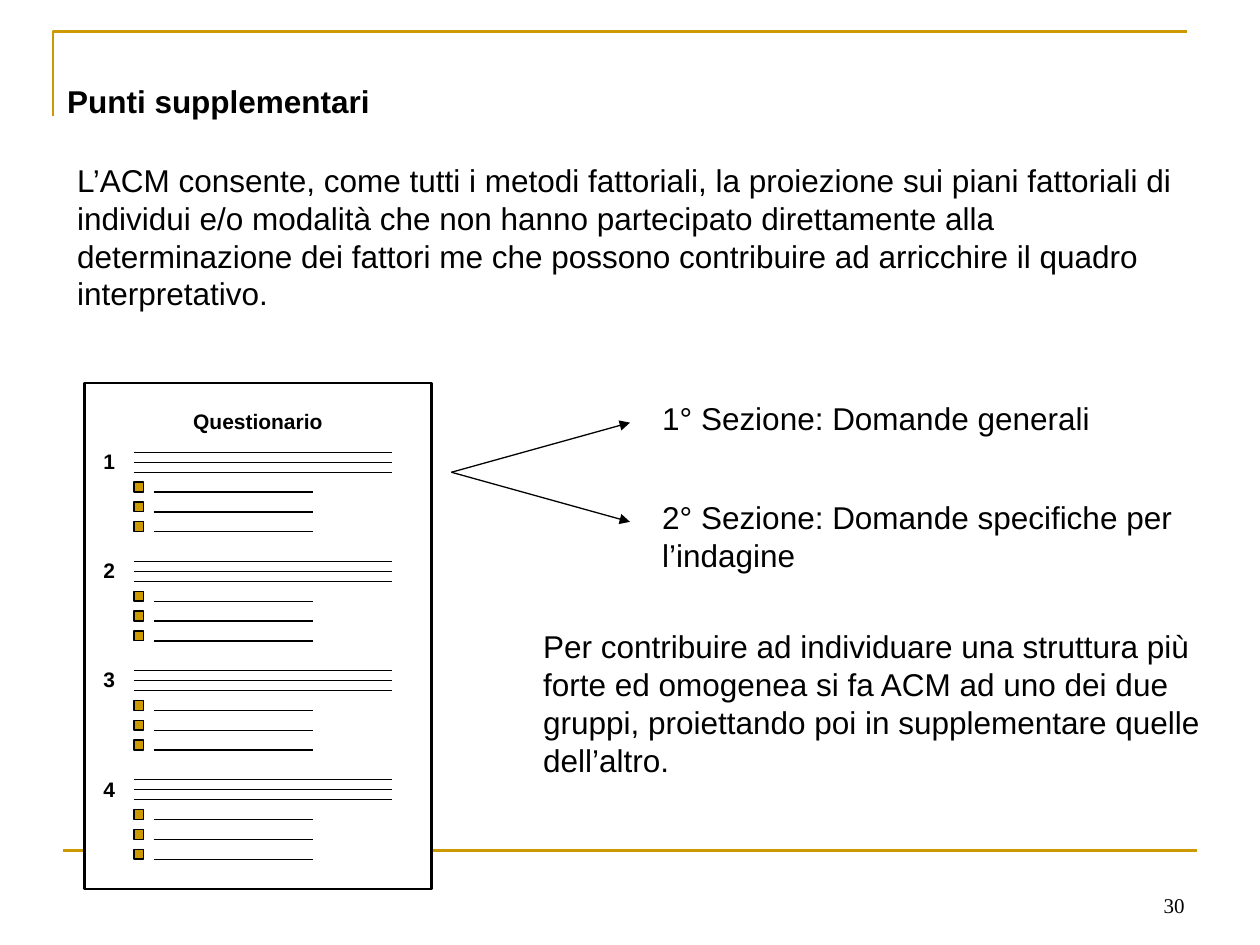
from lxml.etree import SubElement
from pptx import Presentation
from pptx.dml.color import RGBColor
from pptx.enum.shapes import MSO_CONNECTOR, MSO_SHAPE
from pptx.enum.text import MSO_ANCHOR, MSO_AUTO_SIZE, PP_ALIGN
from pptx.oxml.ns import qn
from pptx.util import Cm, Pt

BLACK, WHITE, GOLD = "000000", "FFFFFF", "CC9900"

TITLE = "Punti supplementari"
INTRO = (
    "L’ACM consente, come tutti i metodi fattoriali, la proiezione sui piani "
    "fattoriali di individui e/o modalità che non hanno partecipato direttamente "
    "alla determinazione dei fattori me che possono contribuire ad arricchire il "
    "quadro interpretativo."
)
SECTIONS = [
    "1° Sezione: Domande generali",
    "2° Sezione: Domande specifiche per l’indagine",
]
CONCLUSION = (
    "Per contribuire ad individuare una struttura più forte ed omogenea si fa ACM "
    "ad uno dei due gruppi, proiettando poi in supplementare quelle dell’altro."
)


def rgb(value):
    return RGBColor.from_string(value)


def place(sp, x, y, w, h):
    sp.left, sp.top, sp.width, sp.height = Cm(x), Cm(y), Cm(w), Cm(h)


def write(sp, text, size=18, bold=False, font="Arial", color=BLACK,
          align=PP_ALIGN.LEFT, anchor=MSO_ANCHOR.TOP):
    tf = sp.text_frame
    tf.word_wrap = True
    tf.auto_size = MSO_AUTO_SIZE.NONE
    tf.vertical_anchor = anchor
    p = tf.paragraphs[0]
    p.alignment = align
    p.space_before = Pt(0)
    r = p.add_run()
    r.text = text
    r.font.name, r.font.size, r.font.bold = font, Pt(size), bold
    r.font.color.rgb = rgb(color)
    return p


def add_text(s, x, y, w, h, text, **fmt):
    write(s.shapes.add_textbox(Cm(x), Cm(y), Cm(w), Cm(h)), text, **fmt)


def add_box(s, x, y, w, h, fill, weight):
    sp = s.shapes.add_shape(MSO_SHAPE.RECTANGLE, Cm(x), Cm(y), Cm(w), Cm(h))
    sp.shadow.inherit = False
    sp.fill.solid()
    sp.fill.fore_color.rgb = rgb(fill)
    sp.line.color.rgb = rgb(BLACK)
    sp.line.width = Pt(weight)


def add_line(s, x1, y1, x2, y2, color=BLACK, weight=0.75, arrow=False):
    c = s.shapes.add_connector(MSO_CONNECTOR.STRAIGHT, Cm(x1), Cm(y1), Cm(x2), Cm(y2))
    c.line.color.rgb = rgb(color)
    c.line.width = Pt(weight)
    if arrow:
        SubElement(c.line._get_or_add_ln(), qn("a:tailEnd"), type="triangle")
    SubElement(c._element.spPr, qn("a:effectLst"))


def add_frame(s, x, y, w, h):
    """Gold corner at the top left and gold rule at the foot."""
    fb = s.shapes.build_freeform(Cm(x), Cm(y + 1.7), scale=1.0)
    fb.add_line_segments([(Cm(x), Cm(y)), (Cm(x + w), Cm(y))], close=False)
    sp = fb.convert_to_shape()
    sp.shadow.inherit = False
    sp.fill.background()
    sp.line.color.rgb = rgb(GOLD)
    sp.line.width = Pt(1.5)
    add_line(s, x + 0.2, y + h, x + 0.2 + w, y + h, GOLD, 1.5)


def add_heading(s, x, y, w, h):
    title, body = s.placeholders
    place(title, x, y, w, 1.02)
    write(title, TITLE, bold=True)
    place(body, x + 0.2, y + 1.6, w, h - 1.6)
    pPr = write(body, INTRO)._p.get_or_add_pPr()
    pPr.set("marL", "0")
    pPr.set("indent", "0")
    SubElement(pPr, qn("a:buNone"))


def add_question(s, x, y, number):
    add_text(s, x, y - 0.2, 1, 0.76, str(number), size=12, bold=True,
             align=PP_ALIGN.CENTER)
    for i in range(3):
        line_y = y + 0.2 * i
        add_line(s, x + 1, line_y, x + 6.2, line_y)
        answer_y = y + 0.8 + 0.4 * i
        add_box(s, x + 1, answer_y - 0.2, 0.2, 0.2, GOLD, 0.75)
        add_line(s, x + 1.4, answer_y, x + 4.6, answer_y)


def add_questionnaire(s, x, y, w, h):
    add_box(s, x, y, w, h, WHITE, 1.5)
    add_text(s, x + 0.8, y + 0.4, w - 1.6, 0.76, "Questionario", size=12,
             bold=True, align=PP_ALIGN.CENTER)
    for i in range(4):
        add_question(s, x, y + 1.4 + 2.2 * i, i + 1)


def add_sections(s, x, y, w, h):
    """Two arrows from one point, each leading to a section name."""
    step = h / len(SECTIONS)
    for i, name in enumerate(SECTIONS):
        top = y + step * i
        add_line(s, x, y + 0.6 + step / 2, x + 3.6, top + 0.6, arrow=True)
        add_text(s, x + 4, top, w - 4, step, name)


def main():
    prs = Presentation()
    prs.slide_width, prs.slide_height = Cm(25.4), Cm(19.05)
    s = prs.slides.add_slide(prs.slide_layouts[1])
    add_frame(s, 1.07, 0.64, 22.86, 16.51)
    add_heading(s, 1.1, 1.52, 23.2, 4.9)
    add_questionnaire(s, 1.7, 7.72, 7, 10.2)
    add_sections(s, 9.1, 7.92, 15.4, 4)
    add_text(s, 10.7, 12.52, 14, 3.3, CONCLUSION)
    add_text(s, 18.2, 17.35, 5.93, 1.27, "30", size=12, font="Times New Roman",
             align=PP_ALIGN.RIGHT, anchor=MSO_ANCHOR.BOTTOM)
    prs.save("out.pptx")


if __name__ == "__main__":
    main()
